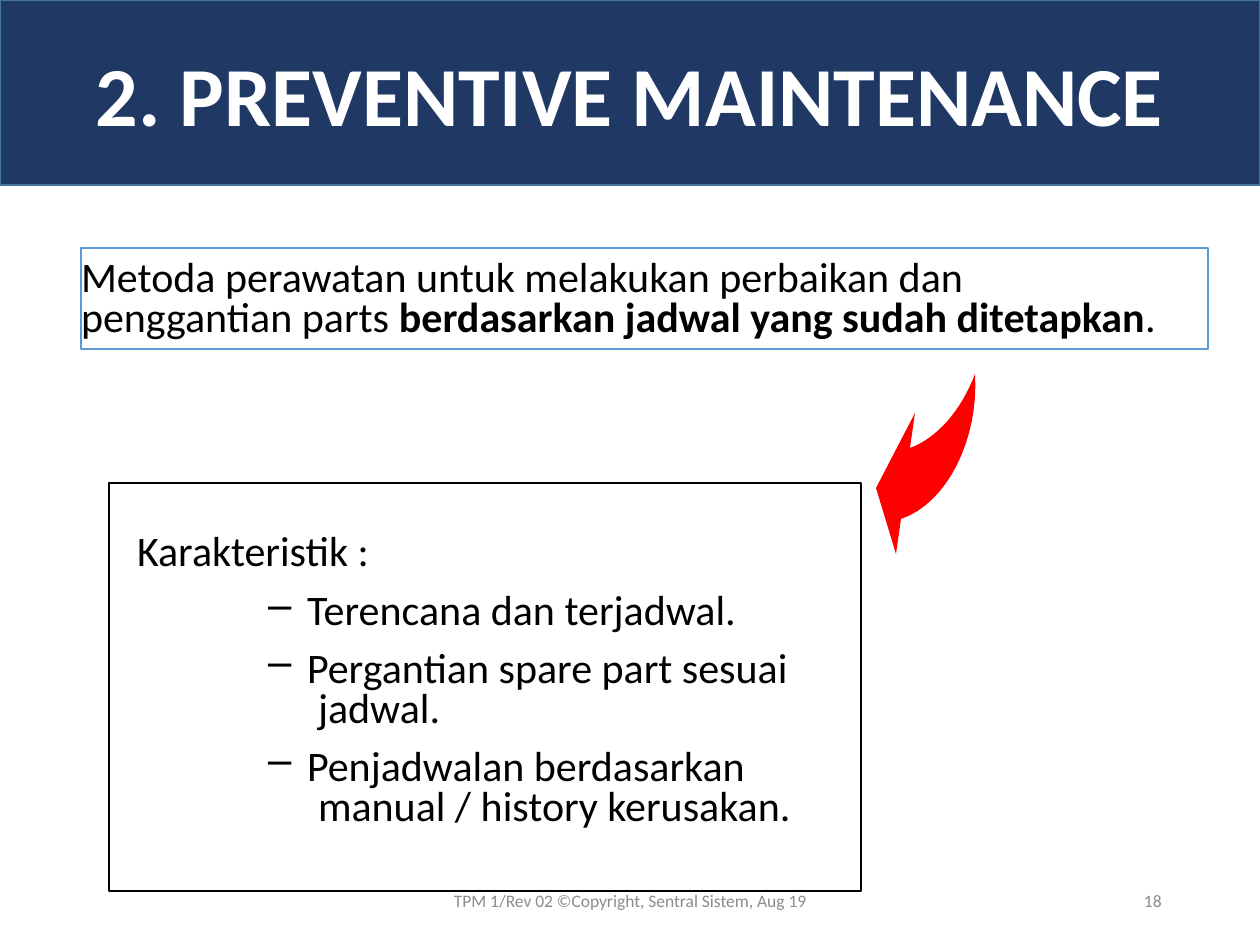
import pptx
import pptx.util
import pptx.dml.color
import pptx.enum.shapes
import pptx.enum.text
import pptx.oxml.ns
from lxml import etree

Pt = pptx.util.Pt
ALIGN = pptx.enum.text.PP_ALIGN
ANCHOR = pptx.enum.text.MSO_ANCHOR
SCALE = 914400 / 126

HUES = {"navy": "203864", "rim": "43739E", "blue": "5B9BD5", "red": "FF0000",
        "black": "000000", "white": "FFFFFF", "grey": "8C8C8C"}

# Content: each paragraph is a dict with its runs as (text, bold)
TITLE = [{"runs": [("2. PREVENTIVE MAINTENANCE", True)]}]
METHOD = [
    {"runs": [("Metoda perawatan untuk melakukan perbaikan dan", False)], "line": 30},
    {"runs": [("penggantian parts ", False),
              ("berdasarkan jadwal yang sudah ditetapkan", True),
              (".", False)], "line": 23},
]
HEAD = "Karakteristik :"
ITEMS = [
    ("Terencana dan terjadwal.",),
    ("Pergantian spare part sesuai", "jadwal."),
    ("Penjadwalan berdasarkan", "manual / history kerusakan."),
]
FOOTER = [{"runs": [("TPM 1/Rev 02 ©Copyright, Sentral Sistem, Aug 19", False)]}]
NUMBER = [{"runs": [("18", False)]}]

# Arrow outline in px: start, then line ends (2 values) and curves (6 values)
ARROW = [(876, 488), (915, 413), (910, 448),
         (937, 438, 961, 411, 975, 374),
         (979, 438, 948, 503, 901, 519),
         (896, 554)]


def px(n):
    return round(n * SCALE)


def rgb(name):
    return pptx.dml.color.RGBColor.from_string(HUES[name])


def apply(obj, vals):
    for key, val in vals.items():
        setattr(obj, key, val)


def paint(shape, fill, line=None, width=1):
    shape.shadow.inherit = False
    shape.fill.solid()
    shape.fill.fore_color.rgb = rgb(fill)
    if line:
        shape.line.color.rgb = rgb(line)
        shape.line.width = Pt(width)
    else:
        shape.line.fill.background()


def box(slide, at, fill, line, width=1):
    kind = pptx.enum.shapes.MSO_SHAPE.RECTANGLE
    shape = slide.shapes.add_shape(kind, *map(px, at))
    paint(shape, fill, line, width)
    return shape


def bullet(para, left, hang, mark):
    props = para._p.get_or_add_pPr()
    props.set("marL", str(px(left)))
    props.set("indent", str(-px(hang)))
    if mark:
        node = etree.SubElement(props, pptx.oxml.ns.qn("a:buChar"))
        node.set("char", mark)


def write(shape, paras, size, hue, align=ALIGN.LEFT, anchor=ANCHOR.MIDDLE, tight=False):
    frame = shape.text_frame
    apply(frame, {"word_wrap": True, "vertical_anchor": anchor})
    if tight:
        apply(frame, {"margin_left": 0, "margin_top": 0,
                      "margin_right": 0, "margin_bottom": px(6)})
    for i, item in enumerate(paras):
        para = frame.paragraphs[0] if i == 0 else frame.add_paragraph()
        para.alignment = align
        if "line" in item:
            para.line_spacing = Pt(item["line"])
        if "gap" in item:
            para.space_before = Pt(item["gap"])
        if "left" in item:
            bullet(para, item["left"], item["hang"], item["mark"])
        for text, bold in item["runs"]:
            run = para.add_run()
            run.text = text
            apply(run.font, {"name": "Calibri", "size": Pt(size), "bold": bold})
            run.font.color.rgb = rgb(hue)


def trace(parts, steps=16):
    """Turn the outline into points, sampling each cubic curve."""
    points = [parts[0]]
    for part in parts[1:]:
        if len(part) == 2:
            points.append(part)
            continue
        knots = [points[-1], part[:2], part[2:4], part[4:]]
        for k in range(1, steps + 1):
            t = k / steps
            mix = ((1 - t) ** 3, 3 * t * (1 - t) ** 2, 3 * t * t * (1 - t), t ** 3)
            points.append(tuple(sum(m * p[a] for m, p in zip(mix, knots)) for a in (0, 1)))
    return points


def main():
    deck = pptx.Presentation()
    apply(deck, {"slide_width": px(1260), "slide_height": px(945)})
    slide = deck.slides.add_slide(deck.slide_layouts[6])

    # Frame and arrow
    box(slide, (109, 483, 752, 408), "white", "black")
    points = [(px(x), px(y)) for x, y in trace(ARROW)]
    pen = slide.shapes.build_freeform(*points[0])
    pen.add_line_segments(points[1:], close=True)
    paint(pen.convert_to_shape(), "red")

    # Characteristics list
    paras = [{"runs": [(HEAD, False)], "line": 33}]
    for n, lines in enumerate(ITEMS):
        for k, text in enumerate(lines):
            para = {"runs": [(text, False)], "line": 23 if n else 24}
            if k == 0:
                para.update(gap=10, left=170, hang=39, mark="–")
            else:
                para.update(left=181, hang=0, mark=None)
            paras.append(para)
    area = slide.shapes.add_textbox(*map(px, (137, 517, 722, 323)))
    write(area, paras, 24, "black", anchor=ANCHOR.TOP, tight=True)

    # Method statement and title band
    write(box(slide, (81, 248, 1127, 101), "white", "blue", 0.75), METHOD, 24,
          "black", anchor=ANCHOR.TOP, tight=True)
    write(box(slide, (0, 0, 1260, 185), "navy", "rim"), TITLE, 48, "white", ALIGN.CENTER)

    # Page number and footer
    for left, wide, paras, align in ((890, 284, NUMBER, ALIGN.RIGHT),
                                     (417, 426, FOOTER, ALIGN.CENTER)):
        area = slide.shapes.add_textbox(*map(px, (left, 876, wide, 50)))
        write(area, paras, 10, "grey", align)

    deck.save("out.pptx")


if __name__ == "__main__":
    main()
